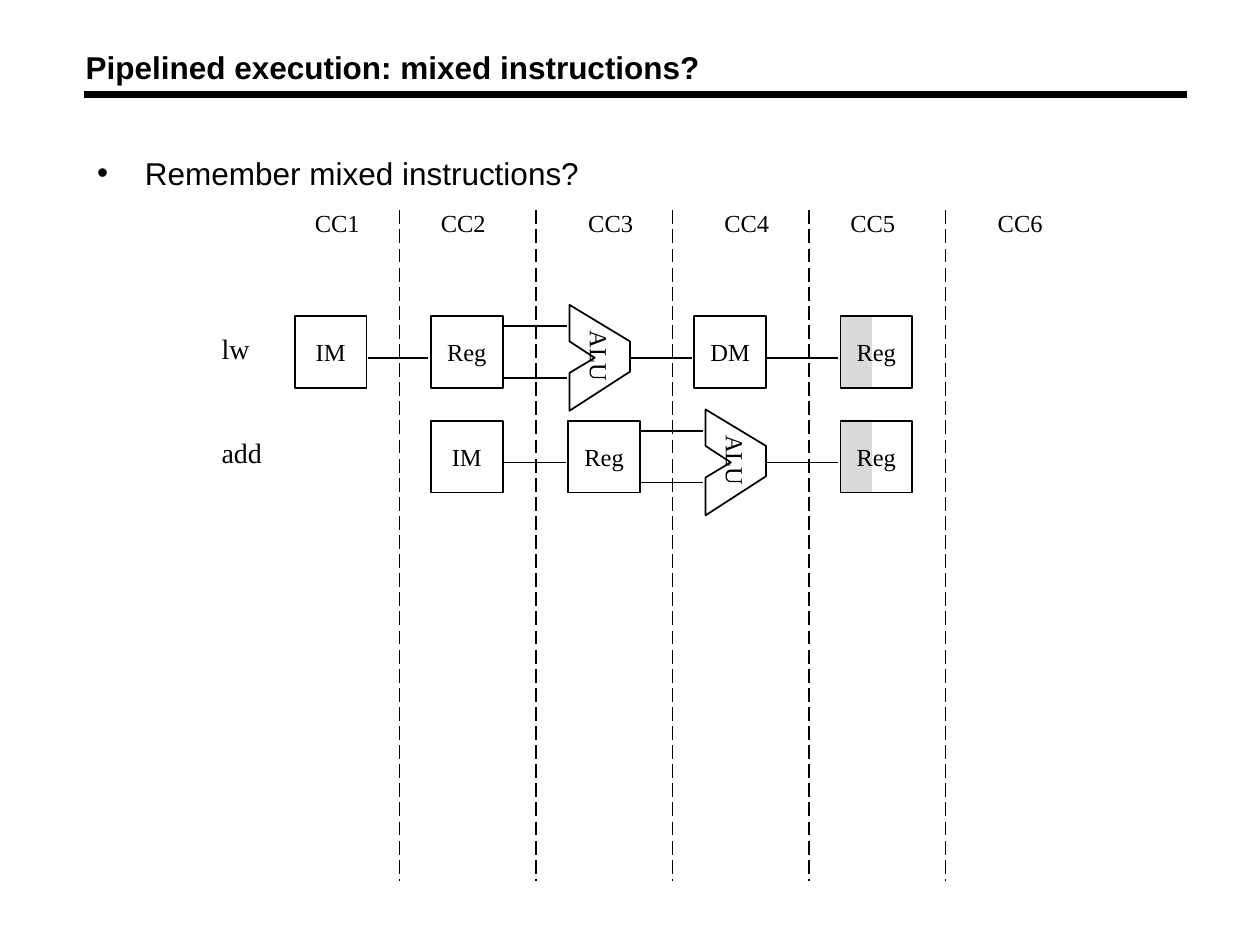
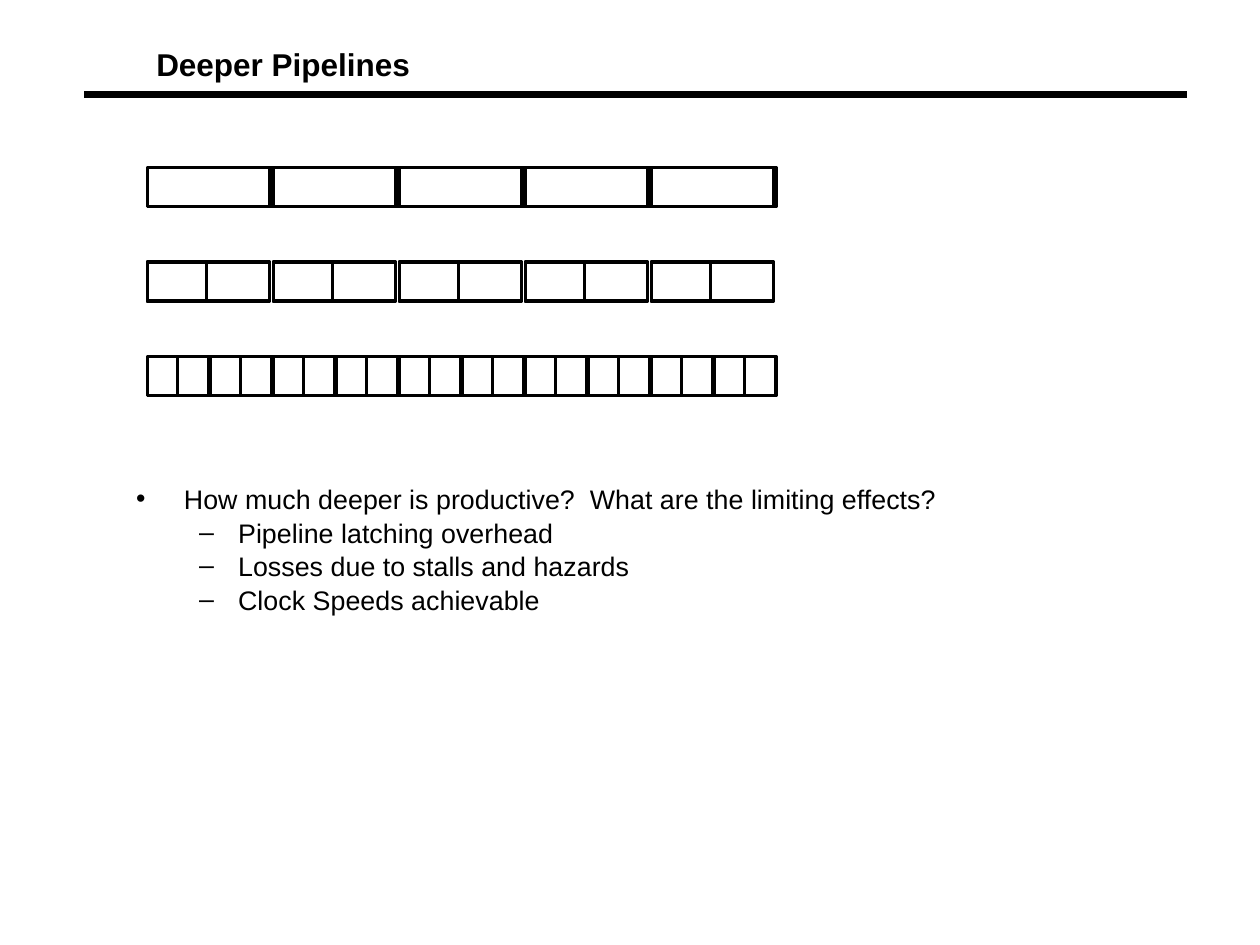
from itertools import pairwise
from lxml.etree import SubElement
from pptx import Presentation
from pptx.dml.color import RGBColor
from pptx.enum.dml import MSO_LINE
from pptx.enum.shapes import MSO_CONNECTOR, MSO_SHAPE
from pptx.enum.text import MSO_ANCHOR, MSO_AUTO_SIZE, PP_ALIGN
from pptx.oxml.ns import qn
from pptx.util import Inches, Pt

BLACK = "000000"
GREY = "DADADA"


def outline(shape, points):
    shape.line.color.rgb = RGBColor.from_string(BLACK)
    shape.line.width = Pt(points)
    if hasattr(shape, "fill"):
        shape.fill.background()
        shape.shadow.inherit = False
    else:
        SubElement(shape.element.spPr, qn("a:effectLst"))
    return shape


def write(frame, lines, font_name, size, bold=False, inset=(0.1, 0.05)):
    frame.text = "\n".join(lines)
    frame.auto_size = MSO_AUTO_SIZE.NONE
    frame.margin_left = frame.margin_right = Inches(inset[0])
    frame.margin_top = frame.margin_bottom = Inches(inset[1])
    for para in frame.paragraphs:
        for span in para.runs:
            span.font.name = font_name
            span.font.size = Pt(size)
            span.font.bold = bold
            span.font.color.rgb = RGBColor.from_string(BLACK)


deck = Presentation()
deck.slide_width = Inches(10)
deck.slide_height = Inches(7.5)

slides = [
    {
        "title": "Pipelined execution: mixed instructions?",
        "title_box": (0.58, 0.33, 5.25, 0.4),
        "title_inset": (0.1, 0.05),
        "body_box": (0.67, 1.17, 8.5, 0.42),
        "size": 18,
        "spacing": 1.0,
        "lines": ["Remember mixed instructions?"],
    },
    {
        "title": "Deeper Pipelines",
        "title_box": (1.17, 0.33, 2.4, 0.36),
        "title_inset": (0.07, 0.03),
        "body_box": (0.98, 3.83, 7.83, 1.25),
        "size": 15.3,
        "spacing": 0.8,
        "lines": [
            "How much deeper is productive?  What are the limiting effects?",
            "Pipeline latching overhead",
            "Losses due to stalls and hazards",
            "Clock Speeds achievable",
        ],
    },
]

pages = []
for content in slides:
    page = deck.slides.add_slide(deck.slide_layouts[1])
    pages.append(page)
    title, body = page.placeholders
    for holder, area in ((title, content["title_box"]), (body, content["body_box"])):
        holder.left, holder.top, holder.width, holder.height = map(Inches, area)
        holder.text_frame.vertical_anchor = MSO_ANCHOR.TOP
        holder.text_frame.word_wrap = True
    write(title.text_frame, [content["title"]], "Arial", 18, True, content["title_inset"])
    title.text_frame.paragraphs[0].alignment = PP_ALIGN.LEFT
    write(body.text_frame, content["lines"], "Arial", content["size"])
    for index, para in enumerate(body.text_frame.paragraphs):
        para.level = min(index, 1)
        para.line_spacing = content["spacing"]
        para.space_before = Pt(4.5 if index else 0)
        margin, indent = (0.81, -0.31) if index else (0.38, -0.38)
        properties = para._p.get_or_add_pPr()
        properties.set("marL", str(Inches(margin)))
        properties.set("indent", str(Inches(indent)))
    rule = page.shapes.add_connector(
        MSO_CONNECTOR.STRAIGHT, Inches(0.67), Inches(0.75), Inches(9.42), Inches(0.75))
    outline(rule, 4.5)

pipeline, deeper = pages

STAGE = 0.57
ALU_WIDTH = 0.48
ALU_OUTLINE = [(0, -0.09), (ALU_WIDTH, 0.2), (ALU_WIDTH, 0.44), (0, 0.75),
               (0, 0.45), (0.2, 0.33), (0, 0.2)]
instructions = [
    ("lw", 2.51, [("IM", 2.34), ("Reg", 3.42), ("ALU", 4.52), ("DM", 5.51), ("Reg", 6.67)]),
    ("add", 3.34, [("IM", 3.42), ("Reg", 4.51), ("ALU", 5.6), ("Reg", 6.67)]),
]
labels = [(f"CC{cycle}", left, 1.6, 14)
          for cycle, left in enumerate((2.4, 3.4, 4.57, 5.65, 6.65, 7.82), start=1)]

for name, top, stages in instructions:
    labels.append((name, 1.66, top + 0.07, 16))
    write_back = pipeline.shapes.add_shape(
        MSO_SHAPE.RECTANGLE, Inches(stages[-1][1]), Inches(top - 0.01), Inches(0.25), Inches(0.58))
    write_back.fill.solid()
    write_back.fill.fore_color.rgb = RGBColor.from_string(GREY)
    write_back.line.fill.background()
    write_back.shadow.inherit = False

    for stage, left in stages:
        if stage == "ALU":
            points = [(Inches(left + x), Inches(top + y)) for x, y in ALU_OUTLINE]
            builder = pipeline.shapes.build_freeform(*points[0])
            builder.add_line_segments(points[1:], close=True)
            outline(builder.convert_to_shape(), 1)
            box = pipeline.shapes.add_textbox(
                Inches(left - 0.06), Inches(top + 0.15), Inches(0.6), Inches(0.33))
            box.rotation = 90
        else:
            box = outline(pipeline.shapes.add_shape(
                MSO_SHAPE.RECTANGLE, Inches(left), Inches(top), Inches(STAGE), Inches(STAGE)), 1)
        write(box.text_frame, [stage], "Times New Roman", 14, inset=(0, 0.05))
        box.text_frame.word_wrap = True
        box.text_frame.paragraphs[0].alignment = PP_ALIGN.CENTER

    for (source, source_left), (target, target_left) in pairwise(stages):
        start = source_left + (ALU_WIDTH if source == "ALU" else STAGE) + 0.01
        for offset in (0.08, 0.49) if target == "ALU" else (0.33,):
            wire = pipeline.shapes.add_connector(
                MSO_CONNECTOR.STRAIGHT, Inches(start), Inches(top + offset),
                Inches(target_left - 0.02), Inches(top + offset))
            outline(wire, 1)

for index in range(5):
    x = Inches(3.17 + index * 13 / 12)
    divider = pipeline.shapes.add_connector(
        MSO_CONNECTOR.STRAIGHT, x, Inches(1.67), x, Inches(6.99))
    outline(divider, 1).line.dash_style = MSO_LINE.LONG_DASH

for text, left, top, size in labels:
    box = pipeline.shapes.add_textbox(Inches(left), Inches(top), Inches(0.68), Inches(0.35))
    write(box.text_frame, [text], "Times New Roman", size)
    box.text_frame.word_wrap = True

pipeline_rows = [
    (1.33, 5, (0.97, 0.99)),
    (2.08, 5, (0.97, 0.47)),
    (2.83, 10, (0.49, 0.24)),
]
for top, count, widths in pipeline_rows:
    for index in range(count):
        for width in widths:
            cell = deeper.shapes.add_shape(
                MSO_SHAPE.RECTANGLE, Inches(1.17 + index * 5 / count), Inches(top),
                Inches(width), Inches(0.31))
            outline(cell, 2)

deck.save("out.pptx")
